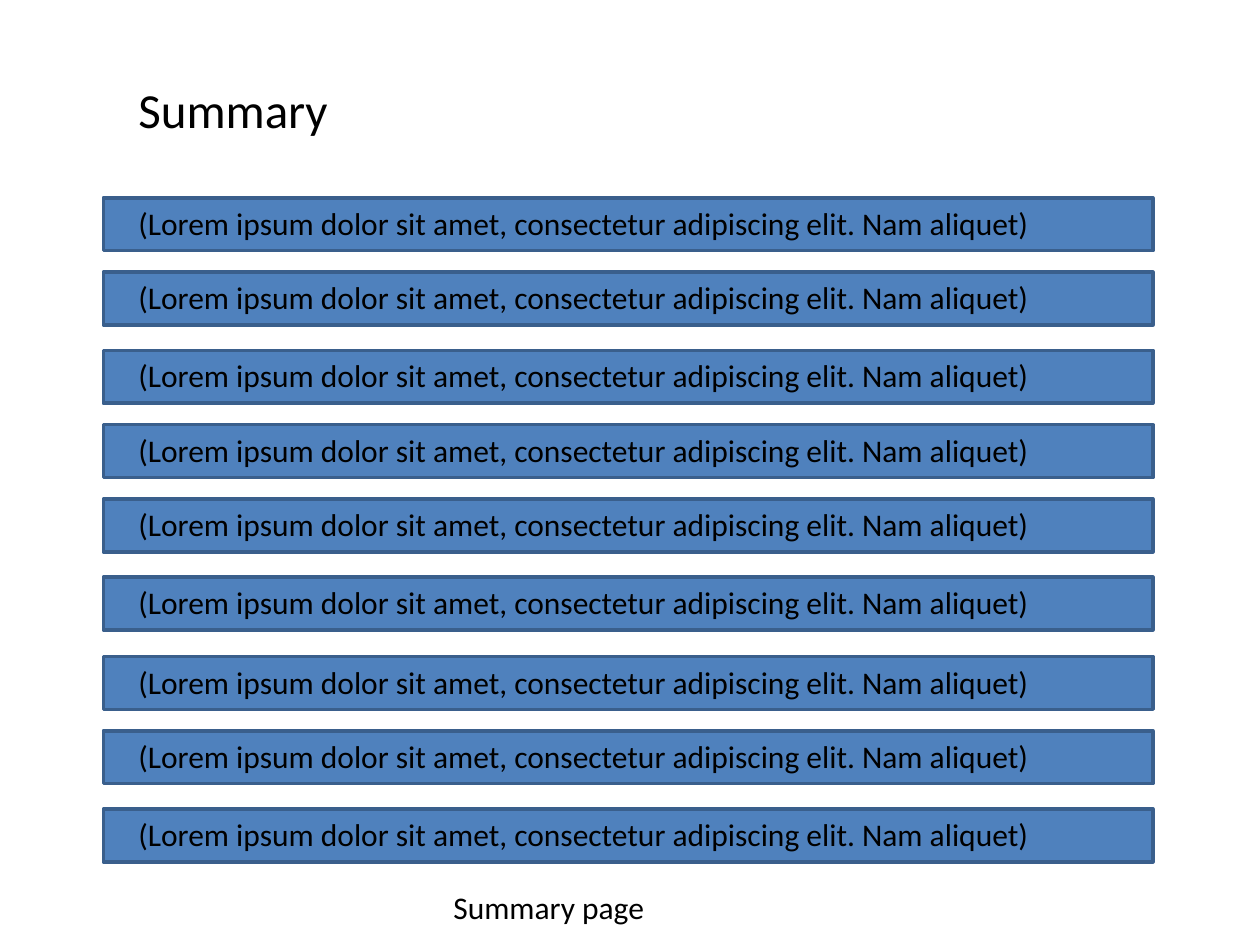
"""Build a summary slide with nine labelled bars."""
from dataclasses import dataclass

from pptx import Presentation
from pptx.dml.color import RGBColor
from pptx.enum.shapes import MSO_SHAPE
from pptx.enum.text import MSO_AUTO_SIZE
from pptx.util import Inches, Pt

RECTANGLE = MSO_SHAPE.RECTANGLE
GROW = MSO_AUTO_SIZE.SHAPE_TO_FIT_TEXT
COLOURS = {"bar": "4F81BD", "border": "3A5F8C", "text": "000000"}
FONT = "Calibri"
SLIDE_WIDTH, SLIDE_HEIGHT = 10, 7.5
BAR_LEFT, BAR_WIDTH, BAR_HEIGHT = 0.82, 8.33, 0.42
TEXT_LEFT, TEXT_WIDTH, TEXT_HEIGHT = 1, 7.92, 0.4
ROW_TOPS = (1.57, 2.16, 2.78, 3.37, 3.96, 4.58, 5.21, 5.8, 6.42)
ROW_TEXT = "(Lorem ipsum dolor sit amet, consectetur adipiscing elit. Nam aliquet)"


@dataclass(frozen=True)
class Label:
    """A line of text with its place in inches and size in points."""
    text: str
    left: float
    top: float
    width: float
    height: float
    size: int = 18


def colour(name: str) -> RGBColor:
    """Return a named colour."""
    return RGBColor.from_string(COLOURS[name])


def draw_label(shapes, label: Label) -> None:
    """Draw one text box."""
    place = (label.left, label.top, label.width, label.height)
    box = shapes.add_textbox(*map(Inches, place))
    frame = box.text_frame
    frame.text = label.text
    frame.word_wrap = True
    frame.auto_size = GROW
    font = frame.paragraphs[0].runs[0].font
    font.name = FONT
    font.size = Pt(label.size)
    font.color.rgb = colour("text")


def draw_bar(shapes, top: float) -> None:
    """Draw one bordered bar."""
    place = (BAR_LEFT, top, BAR_WIDTH, BAR_HEIGHT)
    bar = shapes.add_shape(RECTANGLE, *map(Inches, place))
    bar.shadow.inherit = False
    bar.fill.solid()
    bar.fill.fore_color.rgb = colour("bar")
    bar.line.color.rgb = colour("border")
    bar.line.width = Pt(2)


def main() -> None:
    """Build and save the deck."""
    deck = Presentation()
    deck.slide_width = Inches(SLIDE_WIDTH)
    deck.slide_height = Inches(SLIDE_HEIGHT)
    page = deck.slides.add_slide(deck.slide_layouts[6])
    rows = page.shapes.add_group_shape()
    for top in ROW_TOPS:
        draw_bar(rows.shapes, top)
        draw_label(rows.shapes, Label(ROW_TEXT, TEXT_LEFT, top, TEXT_WIDTH, TEXT_HEIGHT))
    draw_label(page.shapes, Label("Summary", TEXT_LEFT, 0.58, 3.25, 0.57, 28))
    draw_label(page.shapes, Label("Summary page", 3.5, 7, 4, 0.42))
    deck.save("out.pptx")


main()
